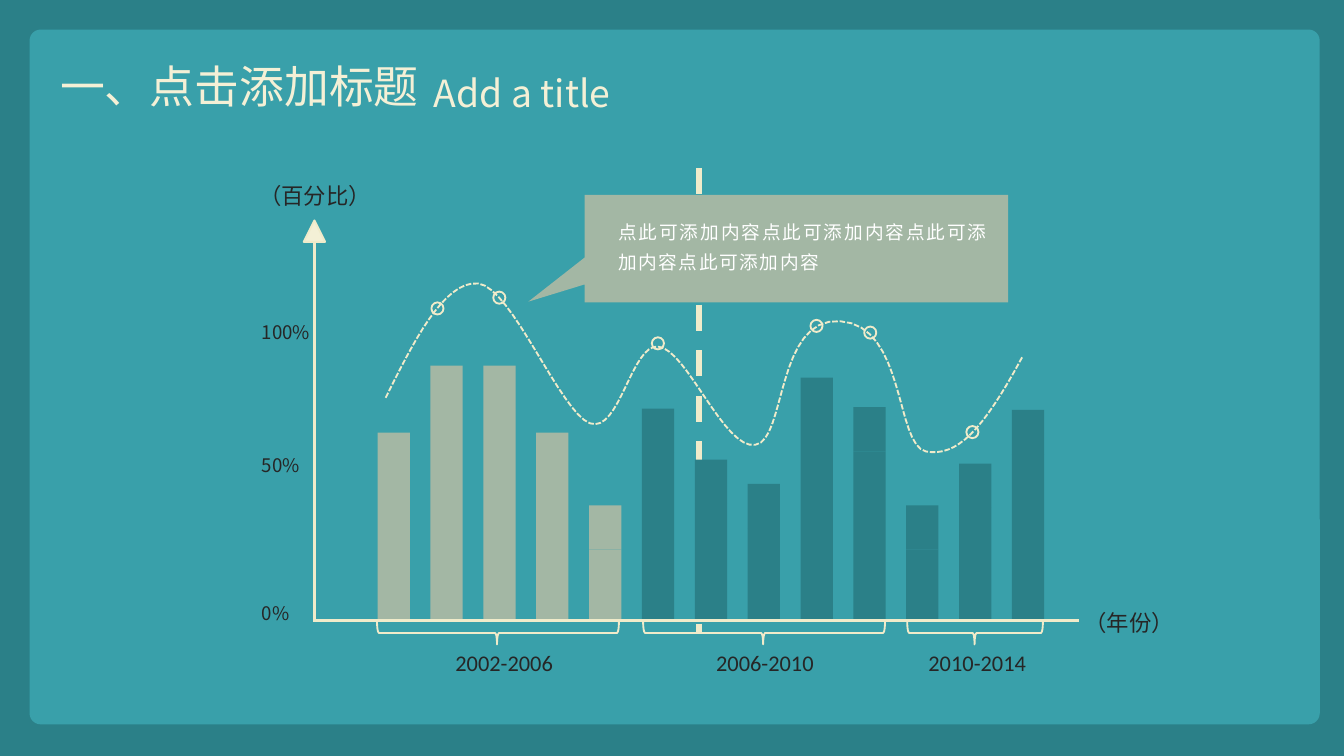
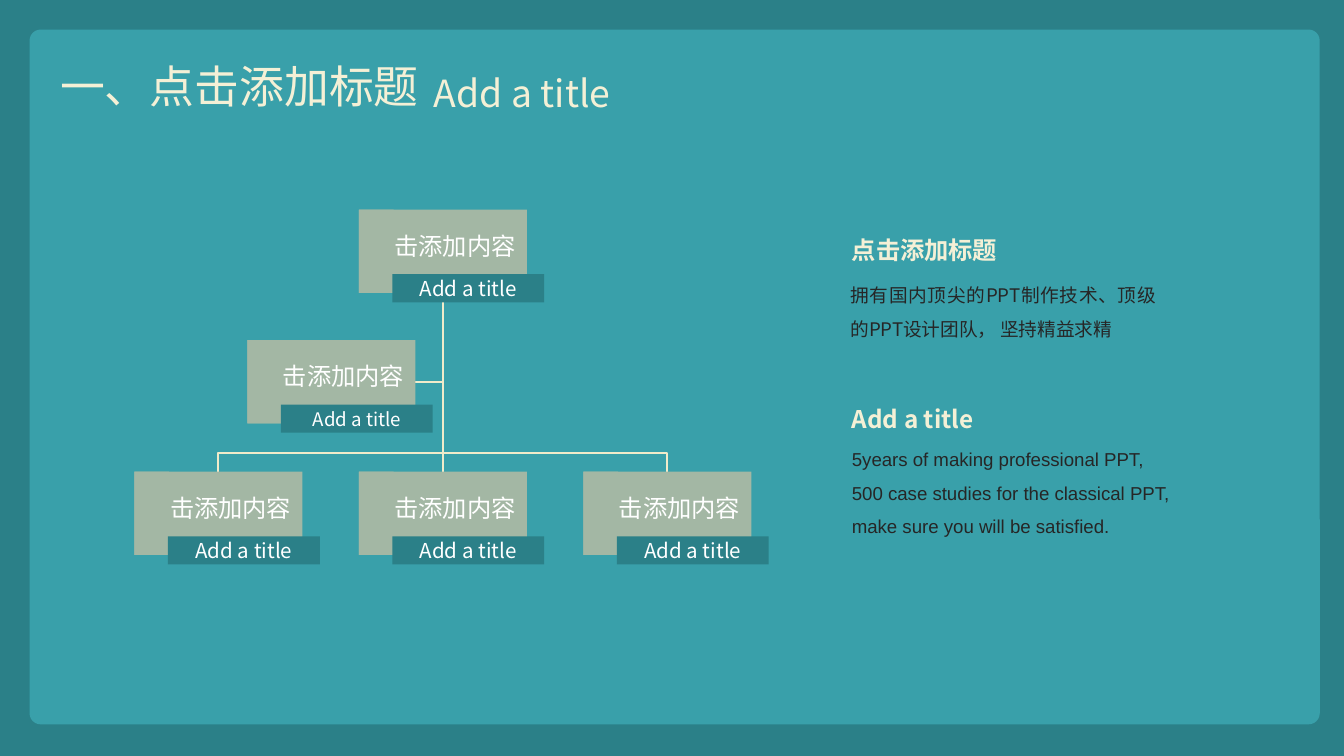
import pptx
import pptx.util
import pptx.dml.color
import pptx.enum.dml
import pptx.enum.shapes
import pptx.enum.text
import pptx.oxml.ns
from lxml import etree

Inches = pptx.util.Inches
RGBColor = pptx.dml.color.RGBColor
Shape = pptx.enum.shapes.MSO_SHAPE
Dash = pptx.enum.dml.MSO_LINE
Align = pptx.enum.text.PP_ALIGN
Anchor = pptx.enum.text.MSO_ANCHOR
AutoSize = pptx.enum.text.MSO_AUTO_SIZE
qn = pptx.oxml.ns.qn

# Slide size, 16 to 9
SLIDE_WIDTH = 10
SLIDE_HEIGHT = SLIDE_WIDTH * 9 / 16

# Colours and fonts
TEAL_DARK = RGBColor(0x2B, 0x80, 0x88)
TEAL = RGBColor(0x39, 0xA0, 0xAA)
SAGE = RGBColor(0xA3, 0xB7, 0xA4)
CREAM = RGBColor(0xF4, 0xF0, 0xD6)
LINE_CREAM = RGBColor(0xF0, 0xEB, 0xCA)
INK = RGBColor(0x26, 0x26, 0x26)
WHITE = RGBColor(0xFF, 0xFF, 0xFF)
SANS = "Noto Sans CJK SC"

# Shared title
TITLE = "一、点击添加标题"
SUBTITLE = "Add a title"

# Chart slide content
BAR_TOPS = [3.22, 2.72, 2.72, 3.22, 3.76, 3.04, 3.42, 3.6, 2.81, 3.03, 3.76, 3.45, 3.05]
SAGE_BARS = 5
BAR_LEFT, BAR_PITCH, BAR_WIDTH, CAP_HEIGHT, BASELINE = 2.81, 4.72 / 12, 0.24, 0.33, 4.62
PERIODS = [  # label, label left, brace centre, brace length
    ("2002-2006", 3.29, 3.7, 1.8),
    ("2006-2010", 5.23, 5.68, 1.8),
    ("2010-2014", 6.81, 7.25, 1.01),
]
SCALE_LABELS = [("100%", 2.34, 0.57), ("50%", 3.33, 0.49), ("0%", 4.43, 0.41)]
AXIS_TITLES = [("（百分比）", 1.83, 1.25), ("（年份）", 7.97, 4.42)]
CURVE_START = (2.87, 2.96)
CURVE = [  # two control points and an end point for each piece
    ((3.06, 2.58), (3.3, 2.08), (3.56, 2.11)),
    ((3.81, 2.14), (4.17, 3.07), (4.39, 3.15)),
    ((4.61, 3.23), (4.7, 2.55), (4.9, 2.58)),
    ((5.11, 2.6), (5.39, 3.35), (5.62, 3.31)),
    ((5.85, 3.28), (5.77, 2.36), (6.25, 2.39)),
    ((6.74, 2.42), (6.66, 3.31), (6.89, 3.36)),
    ((7.12, 3.4), (7.31, 3.21), (7.61, 2.65)),
]
CURVE_STEPS = 16
MARKERS = [(3.67, 2.17), (3.21, 2.25), (4.85, 2.51), (6.03, 2.38), (6.43, 2.43), (7.19, 3.17)]
CALLOUT = "点此可添加内容点此可添加内容点此可添加内容点此可添加内容"

# Tree slide content
CARD_TEXT = "点击添加内容"
CARD_WIDTH, CARD_HEIGHT = 1.25, 0.62
CARD_PITCH, LEAF_TOP, ROOT_LEFT = 1.67, 3.51, 2.67
CARDS = [(ROOT_LEFT, 1.56, 11), (1.84, 2.53, 10)]  # left, top, tag size
CARDS += [(ROOT_LEFT + step * CARD_PITCH, LEAF_TOP, 11) for step in (-1, 0, 1)]
TRUNK, TRUNK_TOP, BRANCH_Y = ROOT_LEFT + CARD_WIDTH / 2, 2.18, 3.37
NOTES = [  # text, place, size, font, colour, bold, alignment
    ("拥有国内顶尖的PPT制作技术、顶级的PPT设计团队， 坚持精益求精",
     (6.23, 1.98, 2.47, 0.58), 10, SANS, INK, False, Align.JUSTIFY),
    ("点击添加标题", (6.24, 1.59, 1.36, 0.43), 13, SANS, CREAM, True, Align.JUSTIFY),
    ("5years of making professional PPT, 500 case studies for the classical PPT, "
     "make sure you will be satisfied.",
     (6.24, 3.2, 2.6, 0.86), 10, "Arial", INK, False, Align.LEFT),
    ("Add a title", (6.24, 2.85, 1.18, 0.39), 13, SANS, CREAM, True, Align.JUSTIFY),
]


def write(frame, text, size, color, font=SANS, bold=False, align=Align.LEFT,
          line_spacing=None, tracking=None):
    paragraph = frame.paragraphs[0]
    paragraph.alignment = align
    if line_spacing:
        paragraph.line_spacing = line_spacing
    run = paragraph.add_run()
    run.text = text
    run.font.size = pptx.util.Pt(size)
    run.font.bold = bold
    run.font.color.rgb = color
    run.font.name = font
    properties = run._r.get_or_add_rPr()
    etree.SubElement(properties, qn("a:ea")).set("typeface", font)
    if tracking:
        properties.set("spc", str(tracking))


def add_text(slide, place, text, size, color, wrap=True, **style):
    frame = slide.shapes.add_textbox(*map(Inches, place)).text_frame
    frame.word_wrap = wrap
    frame.auto_size = AutoSize.SHAPE_TO_FIT_TEXT
    write(frame, text, size, color, **style)


def set_line(line, width, dash=None):
    line.color.rgb = LINE_CREAM
    line.width = pptx.util.Pt(width)
    if dash:
        line.dash_style = dash


def add_shape(slide, kind, place, fill=None, line_width=None, adjustments=()):
    shape = slide.shapes.add_shape(kind, *map(Inches, place))
    shape.shadow.inherit = False
    for index, value in enumerate(adjustments):
        shape.adjustments[index] = value
    if fill is None:
        shape.fill.background()
    else:
        shape.fill.solid()
        shape.fill.fore_color.rgb = fill
    if line_width:
        set_line(shape.line, line_width)
    else:
        shape.line.fill.background()
    return shape


def add_line(slide, start, end, width, dash=None):
    connector = slide.shapes.add_connector(
        pptx.enum.shapes.MSO_CONNECTOR.STRAIGHT, *map(Inches, start + end))
    set_line(connector.line, width, dash)
    etree.SubElement(connector._element.spPr, qn("a:effectLst"))


def add_path(slide, points, dash=None):
    points = [(Inches(x), Inches(y)) for x, y in points]
    builder = slide.shapes.build_freeform(*points[0])
    builder.add_line_segments(points[1:], close=False)
    shape = builder.convert_to_shape()
    shape.shadow.inherit = False
    shape.fill.background()
    set_line(shape.line, 1, dash)


def curve_points():
    points = [CURVE_START]
    for first, second, end in CURVE:
        start = points[-1]
        for step in range(1, CURVE_STEPS + 1):
            t = step / CURVE_STEPS
            u = 1 - t
            points.append(tuple(
                u**3 * a + 3 * u * u * t * b + 3 * u * t * t * c + t**3 * d
                for a, b, c, d in zip(start, first, second, end)))
    return points


def new_slide(presentation):
    slide = presentation.slides.add_slide(presentation.slide_layouts[6])
    add_shape(slide, Shape.RECTANGLE, (0, 0, SLIDE_WIDTH, SLIDE_HEIGHT), TEAL_DARK)
    add_shape(slide, Shape.ROUNDED_RECTANGLE, (0.22, 0.22, 9.6, 5.17), TEAL, adjustments=[0.016])
    add_text(slide, (0.35, 0.39, 4.54, 0.5), TITLE, 24, CREAM, align=Align.JUSTIFY)
    add_text(slide, (3.13, 0.47, 4.65, 0.44), SUBTITLE, 20, CREAM, align=Align.JUSTIFY)
    return slide


def build_chart_slide(presentation):
    slide = new_slide(presentation)

    # Divider and vertical axis
    add_line(slide, (5.2, 1.25), (5.2, 4.72), 3.5, Dash.DASH)
    add_line(slide, (2.34, 1.79), (2.34, BASELINE), 1.5)
    add_shape(slide, Shape.ISOSCELES_TRIANGLE, (2.26, 1.64, 0.16, 0.16), CREAM, 1)

    # Bars, each a body with a cap
    for index, top in enumerate(BAR_TOPS):
        left = BAR_LEFT + index * BAR_PITCH
        color = SAGE if index < SAGE_BARS else TEAL_DARK
        body_top = top + CAP_HEIGHT
        add_shape(slide, Shape.RECTANGLE, (left, body_top, BAR_WIDTH, BASELINE - body_top), color)
        add_shape(slide, Shape.RECTANGLE, (left, top, BAR_WIDTH, CAP_HEIGHT), color)

    # Periods and axis labels
    for label, label_left, center, length in PERIODS:
        brace = add_shape(slide, Shape.RIGHT_BRACE,
                          (center - 0.08, 4.71 - length / 2, 0.17, length),
                          line_width=1, adjustments=[0.083, 0.504])
        brace.rotation = 90
        add_text(slide, (label_left, 4.78, 0.94, 0.3), label, 12, INK, wrap=False, font="Calibri")
    for label, top, width in SCALE_LABELS:
        add_text(slide, (1.85, top, width, 0.27), label, 10, INK, wrap=False)
    for label, left, top in AXIS_TITLES:
        add_text(slide, (left, top, 1.04, 0.34), label, 12, INK, line_spacing=1.3)

    # Trend curve with ring markers
    add_path(slide, curve_points(), Dash.SQUARE_DOT)
    for left, top in MARKERS:
        add_shape(slide, Shape.OVAL, (left, top, 0.09, 0.09), line_width=1)

    # Callout and horizontal axis
    add_shape(slide, Shape.RECTANGULAR_CALLOUT, (4.35, 1.45, 3.15, 0.8), SAGE,
              adjustments=[-0.633, 0.494])
    add_text(slide, (4.5, 1.54, 2.95, 0.55), CALLOUT, 10, WHITE, align=Align.JUSTIFY,
             line_spacing=pptx.util.Pt(16), tracking=90)
    add_line(slide, (2.33, BASELINE), (8.03, BASELINE), 1.5)


def add_label_block(slide, place, fill, text, size, insets):
    frame = add_shape(slide, Shape.RECTANGLE, place, fill).text_frame
    frame.word_wrap = True
    frame.vertical_anchor = Anchor.MIDDLE
    (frame.margin_left, frame.margin_top,
     frame.margin_right, frame.margin_bottom) = map(Inches, insets)
    write(frame, text, size, WHITE, align=Align.CENTER)


def build_tree_slide(presentation):
    slide = new_slide(presentation)

    # Branches
    for step in (-1, 0, 1):
        end = TRUNK + step * CARD_PITCH
        add_path(slide, [(TRUNK, TRUNK_TOP), (TRUNK, BRANCH_Y), (end, BRANCH_Y), (end, LEAF_TOP)])
    add_path(slide, [(TRUNK, TRUNK_TOP), (TRUNK, 2.84), (3.09, 2.84)])

    # Cards with an edge strip and a tag
    for left, top, tag_size in CARDS:
        add_label_block(slide, (left, top, CARD_WIDTH, CARD_HEIGHT), SAGE, CARD_TEXT, 13,
                        (0.01, 0.01, 0.01, 0.09))
        add_shape(slide, Shape.RECTANGLE, (left, top, 0.26, CARD_HEIGHT), SAGE)
        add_label_block(slide, (left + 0.25, top + 0.48, 1.13, 0.21), TEAL_DARK, SUBTITLE,
                        tag_size, (0.03, 0.01, 0.03, 0.01))

    # Side notes
    for text, place, size, font, color, bold, align in NOTES:
        add_text(slide, place, text, size, color, font=font, bold=bold, align=align,
                 line_spacing=1.5)


def main():
    presentation = pptx.Presentation()
    presentation.slide_width = Inches(SLIDE_WIDTH)
    presentation.slide_height = Inches(SLIDE_HEIGHT)
    build_chart_slide(presentation)
    build_tree_slide(presentation)
    presentation.save("out.pptx")


if __name__ == "__main__":
    main()
